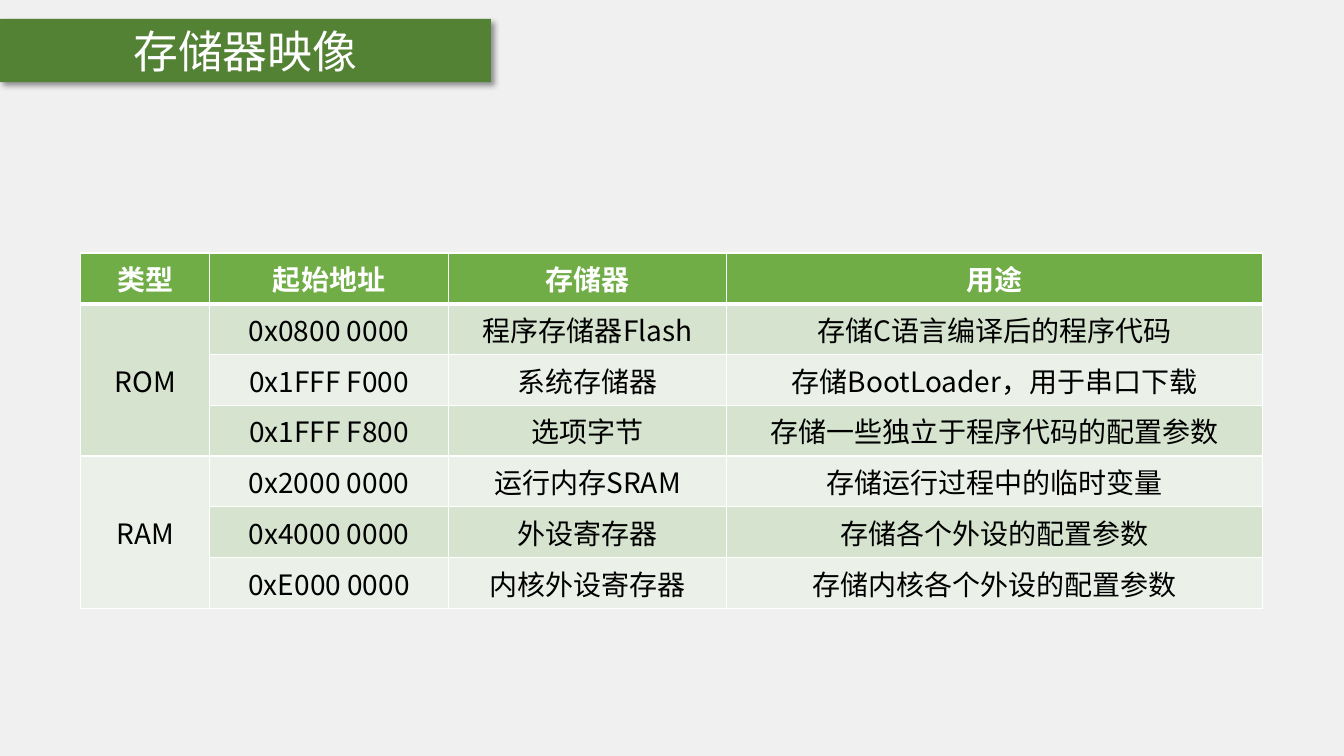
import pptx
import pptx.dml.color
import pptx.enum.shapes
import pptx.enum.text
import pptx.oxml
import pptx.oxml.ns
import pptx.util
from lxml import etree

Pt = pptx.util.Pt
RGB = pptx.dml.color.RGBColor.from_string
NS = 'xmlns:a="http://schemas.openxmlformats.org/drawingml/2006/main"'

theme = {
    "font": "Noto Sans CJK SC",
    "background": "F0F0F0",
    "banner": "548235",
    "header": "70AD47",
    "bands": ["D5E3CF", "EBF1E9"],
    "light": "FFFFFF",
    "dark": "000000",
    "title_size": 32,
    "table_size": 20,
}


def write(tf, text, size, color, bold=False):
    p = tf.paragraphs[0]
    p.text = text
    p.alignment = pptx.enum.text.PP_ALIGN.CENTER
    p.font.name = theme["font"]
    p.font.size = Pt(size)
    p.font.bold = bold
    p.font.color.rgb = RGB(color)
    latin = p._p.pPr.find(".//" + pptx.oxml.ns.qn("a:latin"))
    latin.addnext(pptx.oxml.parse_xml(f'<a:ea {NS} typeface="{theme["font"]}"/>'))


def add_borders(cell, widths):
    tcPr = cell._tc.get_or_add_tcPr()
    for i, (side, width) in enumerate(widths.items()):
        tcPr.insert(i, pptx.oxml.parse_xml(
            f'<a:ln{side} {NS} w="{Pt(width)}"><a:solidFill>'
            f'<a:srgbClr val="{theme["light"]}"/></a:solidFill></a:ln{side}>'))


prs = pptx.Presentation()
prs.slide_width, prs.slide_height = Pt(960), Pt(540)
s = prs.slides.add_slide(prs.slide_layouts[6])
s.background.fill.solid()
s.background.fill.fore_color.rgb = RGB(theme["background"])

banner = s.shapes.add_shape(
    pptx.enum.shapes.MSO_SHAPE.RECTANGLE, Pt(0), Pt(13.5), Pt(350.7), Pt(45.2))
banner.fill.solid()
banner.fill.fore_color.rgb = RGB(theme["banner"])
banner.line.fill.background()
banner.shadow.inherit = False
effects = banner._element.spPr.find(pptx.oxml.ns.qn("a:effectLst"))
effects.append(pptx.oxml.parse_xml(
    f'<a:outerShdw {NS} blurRad="{Pt(4)}" dist="{Pt(3)}" dir="2700000" algn="tl" rotWithShape="0">'
    f'<a:srgbClr val="{theme["dark"]}"><a:alpha val="40000"/></a:srgbClr></a:outerShdw>'))
banner.text_frame.vertical_anchor = pptx.enum.text.MSO_ANCHOR.MIDDLE
write(banner.text_frame, "存储器映像", theme["title_size"], theme["light"])

rows = [
    ["类型", "起始地址", "存储器", "用途"],
    ["ROM", "0x0800 0000", "程序存储器Flash", "存储C语言编译后的程序代码"],
    ["", "0x1FFF F000", "系统存储器", "存储BootLoader，用于串口下载"],
    ["", "0x1FFF F800", "选项字节", "存储一些独立于程序代码的配置参数"],
    ["RAM", "0x2000 0000", "运行内存SRAM", "存储运行过程中的临时变量"],
    ["", "0x4000 0000", "外设寄存器", "存储各个外设的配置参数"],
    ["", "0xE000 0000", "内核外设寄存器", "存储内核各个外设的配置参数"],
]
col_widths = [92.2, 170.6, 198.7, 383]
row_height = 31.2

table = s.shapes.add_table(
    len(rows), len(col_widths), Pt(57.6), Pt(180.7),
    Pt(sum(col_widths)), Pt(row_height * len(rows))).table
for column, width in zip(table.columns, col_widths):
    column.width = Pt(width)

for r, row in enumerate(rows):
    table.rows[r].height = Pt(row_height)
    header = r == 0
    fill = theme["header"] if header else theme["bands"][(r - 1) % 2]
    color = theme["light"] if header else theme["dark"]
    borders = {"L": 1, "R": 1, "T": 3 if r == 1 else 1, "B": 3 if header else 1}
    for c, text in enumerate(row):
        cell = table.cell(r, c)
        cell.fill.solid()
        cell.fill.fore_color.rgb = RGB(fill)
        cell.vertical_anchor = pptx.enum.text.MSO_ANCHOR.MIDDLE
        add_borders(cell, borders)
        if text:
            write(cell.text_frame, text, theme["table_size"], color, header)

for first in (1, 4):
    table.cell(first, 0).merge(table.cell(first + 2, 0))

prs.save("out.pptx")
